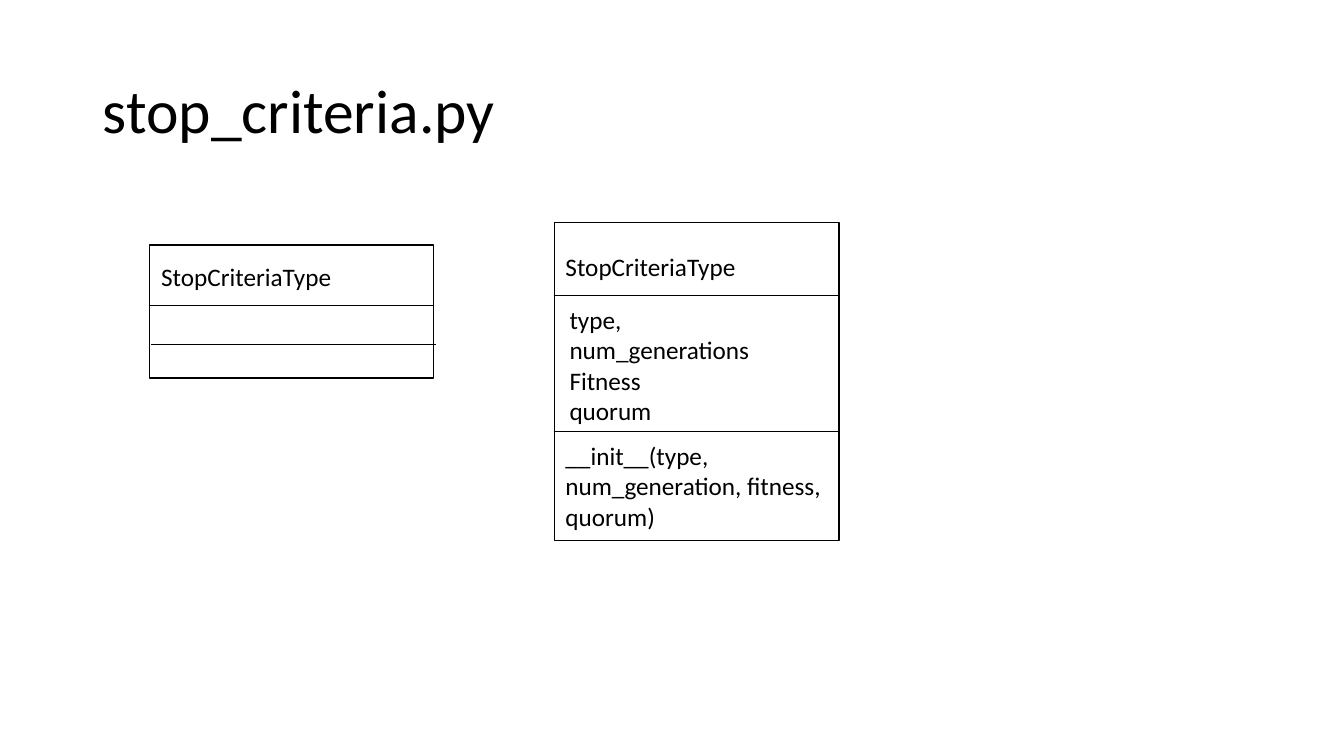
from pptx import Presentation
from pptx.dml.color import RGBColor
from pptx.enum.shapes import MSO_CONNECTOR, MSO_SHAPE
from pptx.enum.text import MSO_ANCHOR, MSO_AUTO_SIZE, PP_ALIGN
from pptx.oxml.ns import qn
from pptx.util import Emu, Pt
from lxml.etree import SubElement

PX = 9144
COLORS = {"ink": "000000", "paper": "FFFFFF"}
BOX_WIDTH = 282


class DiagramSlide:
    """Draws class diagrams on one slide, with lengths in hundredths of an inch."""

    def __init__(self, slide):
        self.slide = slide
        self.ink = RGBColor.from_string(COLORS["ink"])
        self.paper = RGBColor.from_string(COLORS["paper"])

    def lengths(self, *values):
        return [Emu(value * PX) for value in values]

    def fill_text(self, shape, lines, size, frame_format, paragraph_format):
        text_frame = shape.text_frame
        text_frame.text = "\n".join(lines)
        for name, value in frame_format.items():
            setattr(text_frame, name, value)
        for paragraph in text_frame.paragraphs:
            for name, value in paragraph_format.items():
                setattr(paragraph, name, value)
            for run in paragraph.runs:
                for name, value in {"name": "Calibri", "size": Pt(size)}.items():
                    setattr(run.font, name, value)
                run.font.color.rgb = self.ink

    def title(self, text, left, top, width, height):
        shape = self.slide.shapes.title
        bounds = self.lengths(left, top, width, height)
        for name, value in zip(("left", "top", "width", "height"), bounds):
            setattr(shape, name, value)
        self.fill_text(
            shape, [text], 44,
            {"vertical_anchor": MSO_ANCHOR.MIDDLE, "auto_size": MSO_AUTO_SIZE.NONE},
            {"alignment": PP_ALIGN.LEFT, "line_spacing": 0.9},
        )

    def box(self, left, top, width, height):
        bounds = self.lengths(left, top, width, height)
        shape = self.slide.shapes.add_shape(MSO_SHAPE.RECTANGLE, *bounds)
        shape.shadow.inherit = False
        shape.fill.solid()
        shape.fill.fore_color.rgb = self.paper
        shape.line.color.rgb = self.ink
        shape.line.width = Pt(1)

    def divider(self, left, top, width):
        ends = self.lengths(left, top, left + width, top)
        connector = self.slide.shapes.add_connector(MSO_CONNECTOR.STRAIGHT, *ends)
        connector.line.color.rgb = self.ink
        connector.line.width = Pt(0.5)
        SubElement(connector._element.spPr, qn("a:effectLst"))

    def label(self, lines, left, top, width, height, wrap=False):
        shape = self.slide.shapes.add_textbox(*self.lengths(left, top, width, height))
        self.fill_text(
            shape, lines, 18,
            {"word_wrap": wrap, "auto_size": MSO_AUTO_SIZE.SHAPE_TO_FIT_TEXT},
            {"alignment": PP_ALIGN.LEFT},
        )

    def class_box(self, name, left, top, height, dividers, name_at):
        self.box(left, top, BOX_WIDTH, height)
        for divider_left, divider_top in dividers:
            self.divider(divider_left, divider_top, BOX_WIDTH)
        self.label([name], *name_at, 191, 40)


def main():
    presentation = Presentation()
    presentation.slide_width = Emu(1333 * PX)
    presentation.slide_height = Emu(750 * PX)
    slide = presentation.slides.add_slide(presentation.slide_layouts[5])
    diagram = DiagramSlide(slide)

    diagram.title("stop_criteria.py", 92, 40, 1150, 145)
    diagram.class_box(
        "StopCriteriaType", 148, 243, 132, [(148, 303), (150, 342)], (150, 254)
    )
    diagram.class_box(
        "StopCriteriaType", 550, 221, 315, [(549, 293), (549, 428)], (551, 244)
    )
    diagram.label(
        ["__init__(type, num_generation, fitness, quorum)"], 551, 432, 280, 101, wrap=True
    )
    diagram.label(["type,", "num_generations", "Fitness", "quorum"], 555, 297, 201, 131)

    presentation.save("out.pptx")


if __name__ == "__main__":
    main()
